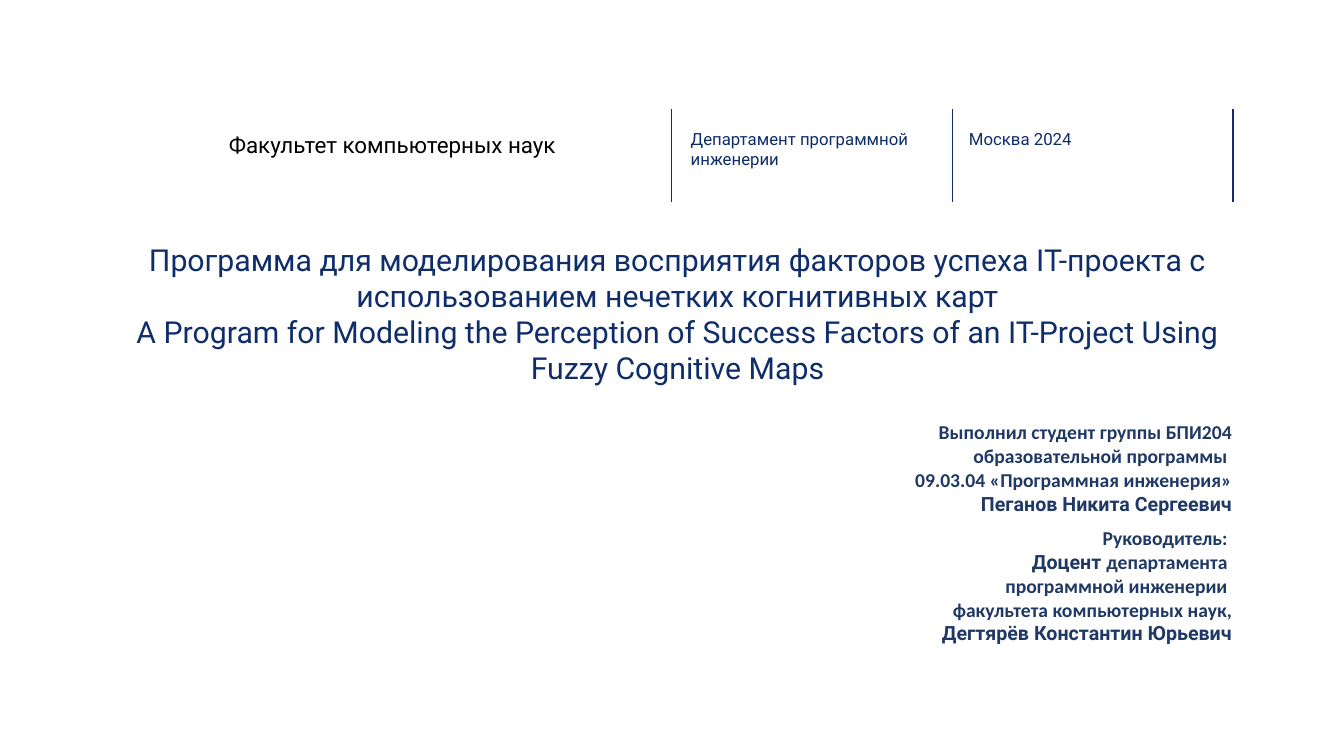
from pptx import Presentation
from pptx.dml.color import RGBColor
from pptx.enum.shapes import MSO_CONNECTOR
from pptx.enum.text import MSO_ANCHOR, MSO_AUTO_SIZE, PP_ALIGN
from pptx.oxml.ns import qn
from pptx.util import Inches, Pt
from lxml import etree

LEFT, CENTER, RIGHT = PP_ALIGN.LEFT, PP_ALIGN.CENTER, PP_ALIGN.RIGHT

TITLE = [
    "Программа для моделирования восприятия факторов успеха IТ-проекта "
    "с использованием нечетких когнитивных карт\n"
    "A Program for Modeling the Perception of Success Factors "
    "of an IT-Project Using Fuzzy Cognitive Maps",
]
# Header labels: text, style, (left, top, width, height)
HEADER = [
    ("Факультет компьютерных наук", "faculty", (2.27, 1.3, 4.21, 0.48)),
    ("Департамент программной инженерии", "label", (6.85, 1.28, 2.49, 0.51)),
    ("Москва 2024", "label", (9.61, 1.28, 2.43, 0.51)),
]
# Each person: paragraphs made of (text, style) runs
PEOPLE = [
    [
        [("Выполнил студент группы БПИ204", "role")],
        [("образовательной программы ", "role")],
        [("09.03.04 «Программная инженерия»", "role")],
        [("Пеганов Никита Сергеевич", "person")],
    ],
    [
        [("Руководитель: ", "role")],
        [("Доцент ", "person"),
         ("департамента \nпрограммной инженерии \nфакультета компьютерных наук,", "role")],
        [("Дегтярёв Константин Юрьевич", "person")],
    ],
]

THEME = {
    "rule": "102D69",
    "title": {"name": "Roboto", "size": 21.6, "color": "0E2D69", "bold": False},
    "faculty": {"name": "Roboto", "size": 16, "color": "000000", "bold": False},
    "label": {"name": "Roboto", "size": 12, "color": "0E2D69", "bold": False},
    "role": {"name": "Calibri", "size": 14, "color": "203864", "bold": True},
    "person": {"name": "Roboto", "size": 14, "color": "203864", "bold": True},
}

SLIDE_SIZE = (13.33, 7.5)
TITLE_BOX = (1.12, 2.39, 11.2, 1.52)
RULE_LEFT, RULE_STEP, RULE_TOP, RULE_BOTTOM = 6.66, 2.785, 1.08, 2.0
PEOPLE_BOX = (4.02, 4.13, 8.3, 2.31)
PEOPLE_ROWS = (1.05, 1.26)


def inches(values):
    return [Inches(value) for value in values]


def style_font(font, style):
    look = THEME[style]
    formats = {"name": look["name"], "size": Pt(look["size"]), "bold": look["bold"]}
    for attribute, value in formats.items():
        setattr(font, attribute, value)
    font.color.rgb = RGBColor.from_string(look["color"])


def write(frame, paragraphs, align):
    """Fill a text frame with styled runs; a newline in a run is a line break."""
    for index, runs in enumerate(paragraphs):
        paragraph = frame.paragraphs[0] if index == 0 else frame.add_paragraph()
        paragraph.alignment = align
        for text, style in runs:
            for part, line in enumerate(text.split("\n")):
                if part:
                    paragraph.add_line_break()
                run = paragraph.add_run()
                run.text = line
                style_font(run.font, style)


def trim(frame):
    formats = {
        "margin_left": 0, "margin_top": 0, "margin_right": 0, "margin_bottom": 0,
        "word_wrap": True, "vertical_anchor": MSO_ANCHOR.TOP,
        "auto_size": MSO_AUTO_SIZE.NONE,
    }
    for attribute, value in formats.items():
        setattr(frame, attribute, value)


def add_title(slide):
    title = slide.shapes.title
    title.left, title.top, title.width, title.height = inches(TITLE_BOX)
    trim(title.text_frame)
    write(title.text_frame, [[(text, "title")] for text in TITLE], CENTER)


def add_header(slide):
    for column in range(len(HEADER)):
        x = RULE_LEFT + column * RULE_STEP
        rule = slide.shapes.add_connector(
            MSO_CONNECTOR.STRAIGHT, *inches((x, RULE_TOP, x, RULE_BOTTOM)))
        rule.line.color.rgb = RGBColor.from_string(THEME["rule"])
        rule.line.width = Pt(1)
        etree.SubElement(rule._element.spPr, qn("a:effectLst"))
    for text, style, box in HEADER:
        label = slide.shapes.add_textbox(*inches(box))
        trim(label.text_frame)
        write(label.text_frame, [[(text, style)]], LEFT)


def add_people(slide):
    table = slide.shapes.add_table(len(PEOPLE), 2, *inches(PEOPLE_BOX)).table
    table.first_row = table.horz_banding = False
    for row, height, person in zip(table.rows, PEOPLE_ROWS, PEOPLE):
        row.height = Inches(height)
        for cell in row.cells:
            cell.fill.background()
        write(row.cells[1].text_frame, person, RIGHT)


def main():
    deck = Presentation()
    deck.slide_width, deck.slide_height = inches(SLIDE_SIZE)
    slide = deck.slides.add_slide(deck.slide_layouts[5])
    add_header(slide)
    add_title(slide)
    add_people(slide)
    deck.save("out.pptx")


if __name__ == "__main__":
    main()
